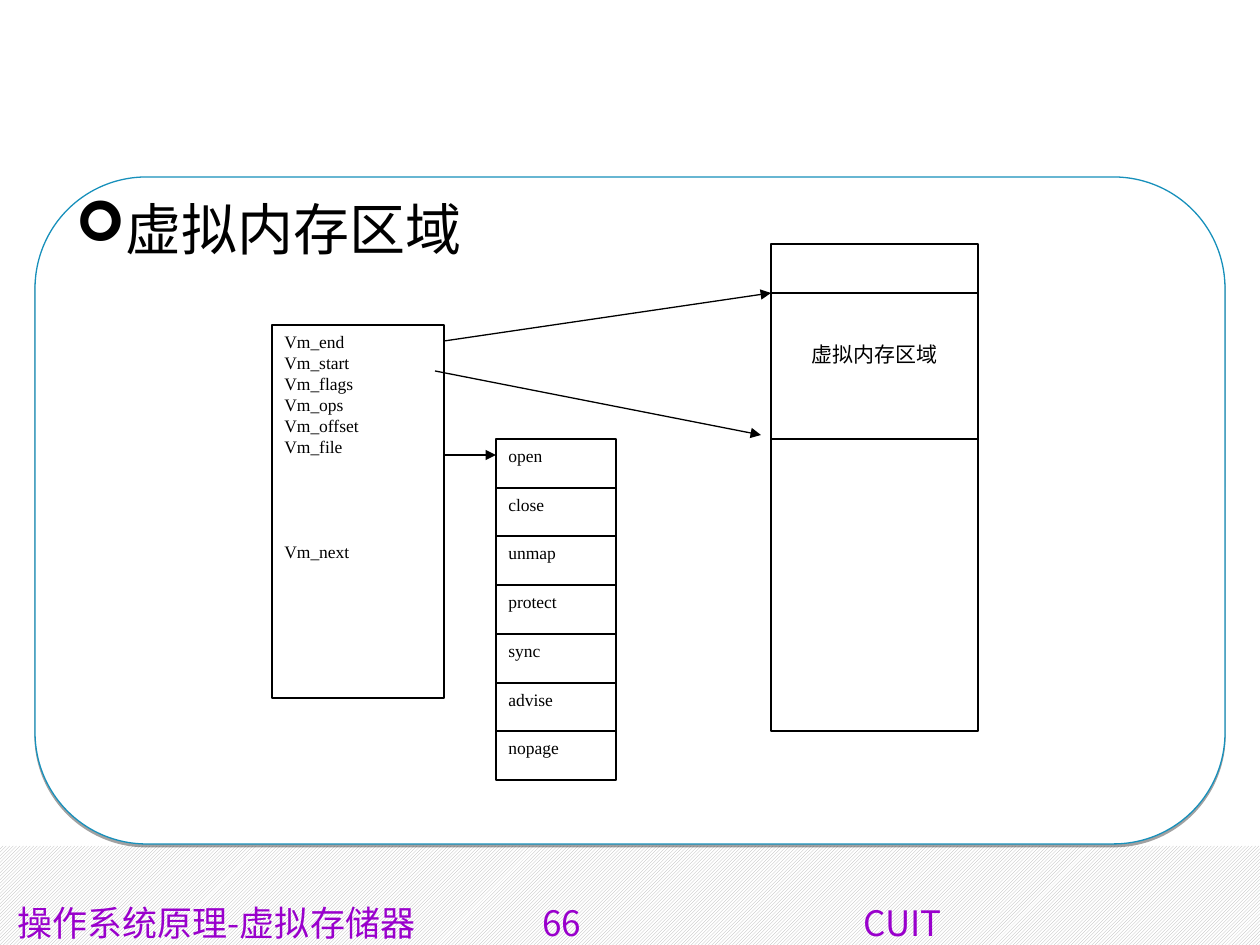
import pptx
import pptx.dml.color
import pptx.enum.dml
import pptx.enum.shapes
import pptx.enum.text
import pptx.oxml
import pptx.oxml.ns
import pptx.util
from lxml import etree

PX = 914400 / 126
SANS, SERIF = "Noto Sans CJK SC", "Times New Roman"
SHAPE = pptx.enum.shapes.MSO_SHAPE
ALIGN = pptx.enum.text.PP_ALIGN
ANCHOR = pptx.enum.text.MSO_ANCHOR

FIELDS = ["Vm_end", "Vm_start", "Vm_flags", "Vm_ops", "Vm_offset", "Vm_file", "Vm_next"]
OPERATIONS = ["open", "close", "unmap", "protect", "sync", "advise", "nopage"]


def px(length):
    return pptx.util.Emu(round(length * PX))


def color(value):
    return pptx.dml.color.RGBColor.from_string(value)


def add_xml(parent, tag, **attributes):
    return etree.SubElement(parent, pptx.oxml.ns.qn(tag), attributes)


def write(frame, lines, size, font, value="000000", align=ALIGN.LEFT):
    """Fill a text frame with one paragraph per line."""
    frame.word_wrap = True
    frame.auto_size = pptx.enum.text.MSO_AUTO_SIZE.NONE
    frame.vertical_anchor = ANCHOR.TOP
    frame.text = "\n".join(lines)
    for para in frame.paragraphs:
        para.alignment = align
        para.font.size = pptx.util.Pt(size)
        para.font.name = font
        para.font.color.rgb = color(value)
        for span in para.runs:
            add_xml(span.font._element, "a:ea", typeface=SANS)
    return frame.paragraphs


def add_box(page, left, top, width, height, kind=SHAPE.RECTANGLE, line="000000"):
    box = page.shapes.add_shape(kind, px(left), px(top), px(width), px(height))
    box.shadow.inherit = False
    box.fill.solid()
    box.fill.fore_color.rgb = color("FFFFFF")
    box.line.color.rgb = color(line)
    box.line.width = pptx.util.Pt(0.75)
    return box


def add_arrow(page, x1, y1, x2, y2):
    arrow = page.shapes.add_connector(
        pptx.enum.shapes.MSO_CONNECTOR.STRAIGHT, px(x1), px(y1), px(x2), px(y2))
    arrow.line.color.rgb = color("000000")
    arrow.line.width = pptx.util.Pt(0.75)
    add_xml(arrow.line._get_or_add_ln(), "a:tailEnd", type="triangle")
    add_xml(arrow._element.spPr, "a:effectLst")


def add_footer(page, left, top, width, height):
    # Hatched band
    band = page.shapes.add_shape(SHAPE.RECTANGLE, px(left), px(top), px(width), px(height))
    band.shadow.inherit = False
    band.line.fill.background()
    band.fill.patterned()
    band.fill.pattern = pptx.enum.dml.MSO_PATTERN.DARK_UPWARD_DIAGONAL
    band.fill.fore_color.rgb = color("B2B2B2")
    band.fill.back_color.rgb = color("FFFFFF")
    # Course, page number and school, set apart by tab stops
    box = page.shapes.add_textbox(px(left + 5), px(top + 49), px(width), px(50))
    para = write(box.text_frame, ["操作系统原理-虚拟存储器\t66\tCUIT"], 20, SANS, "9900CC")[0]
    stops = pptx.oxml.parse_xml(f"<a:tabLst {pptx.oxml.ns.nsdecls('a')}/>")
    for position in (525, 846):
        add_xml(stops, "a:tab", pos=str(px(position)), algn="l")
    para._p.get_or_add_pPr().insert(0, stops)


def add_panel(page, left, top, width, height):
    panel = add_box(page, left, top, width, height, SHAPE.ROUNDED_RECTANGLE, "1790BB")
    panel.adjustments[0] = 0.167
    effects = panel._element.spPr.find(pptx.oxml.ns.qn("a:effectLst"))
    shadow = add_xml(effects, "a:outerShdw", blurRad="0", dist=str(pptx.util.Pt(1.6)),
                     dir="5400000", algn="ctr", rotWithShape="0")
    black = add_xml(shadow, "a:srgbClr", val="000000")
    add_xml(black, "a:alpha", val="37000")


def add_heading(page, left, top, width, height):
    title = page.shapes.title
    page.shapes._spTree.append(title._element)  # bring in front of the panel
    title.left, title.top, title.width, title.height = map(px, (left, top, width, height))
    para = write(title.text_frame, ["虚拟内存区域"], 32, SANS)[0]
    props = para._p.get_or_add_pPr()
    props.set("marL", str(px(47)))
    props.set("indent", str(px(-47)))
    add_xml(props, "a:buFont", typeface="Wingdings")
    add_xml(props, "a:buChar", char="➢")
    # Child order: bullets come before the default run properties
    props.append(props.find(pptx.oxml.ns.qn("a:defRPr")))


def add_record(page, left, top, width, height):
    box = add_box(page, left, top, width, height)
    paras = write(box.text_frame, FIELDS, 10, SERIF, align=ALIGN.JUSTIFY)
    paras[-1].space_before = pptx.util.Pt(48)


def add_operations(page, left, top, width, height):
    edges = [top + round(height * i / len(OPERATIONS)) for i in range(len(OPERATIONS) + 1)]
    for name, upper, lower in zip(OPERATIONS, edges, edges[1:]):
        cell = add_box(page, left, upper, width, lower - upper)
        write(cell.text_frame, [name], 10, SERIF, align=ALIGN.JUSTIFY)


def add_memory(page, left, top, width, height):
    add_box(page, left, top, width, height)
    area = add_box(page, left, top + 49, width, 146)
    area.text_frame.margin_top = px(48)
    write(area.text_frame, ["虚拟内存区域"], 12, SERIF, align=ALIGN.CENTER)


def main():
    deck = pptx.Presentation()
    deck.slide_width, deck.slide_height = px(1260), px(945)
    page = deck.slides.add_slide(deck.slide_layouts[5])

    add_footer(page, 0, 846, 1260, 99)
    add_panel(page, 35, 177, 1190, 667)
    add_heading(page, 63, 188, 1134, 90)
    add_record(page, 272, 325, 172, 373)
    add_operations(page, 496, 439, 120, 341)
    add_memory(page, 771, 244, 207, 487)

    # Pointers from the record's fields
    add_arrow(page, 444, 341, 771, 293)
    add_arrow(page, 435, 371, 761, 435)
    add_arrow(page, 444, 455, 496, 455)

    deck.save("out.pptx")


if __name__ == "__main__":
    main()
